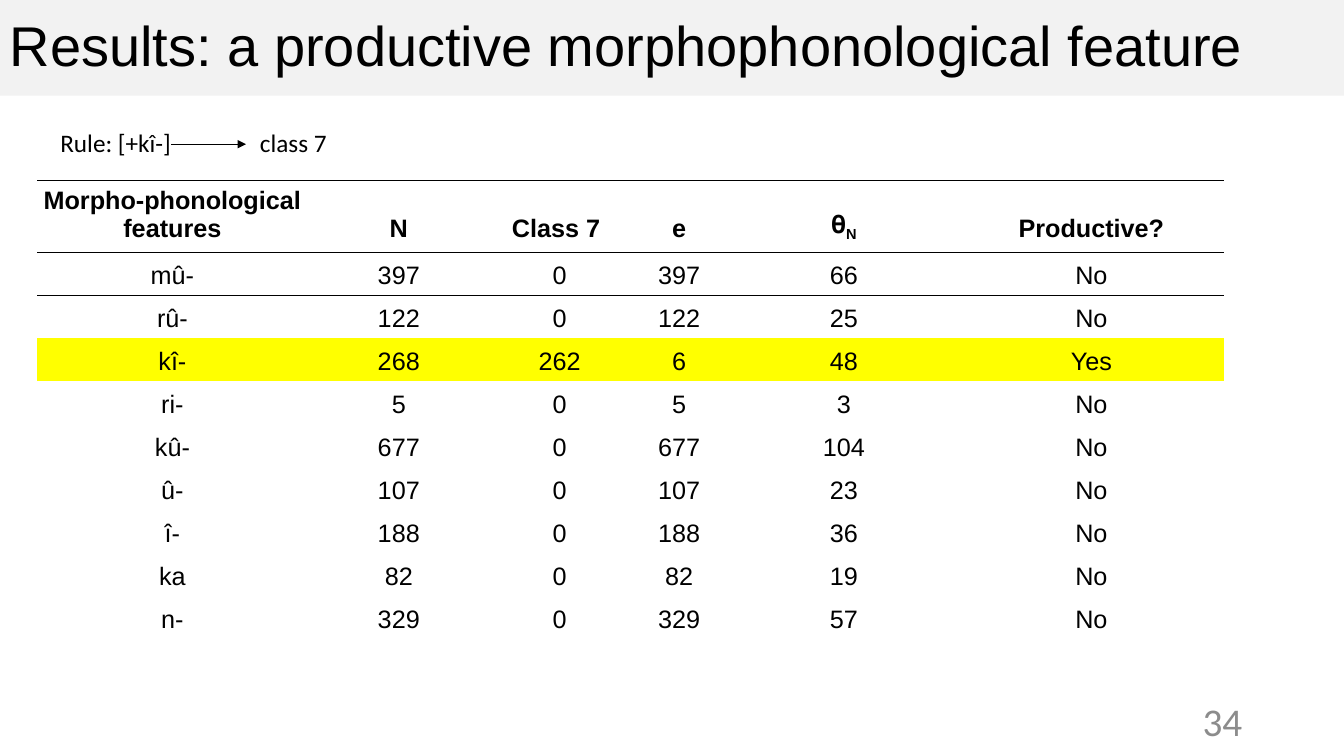
from dataclasses import dataclass

from lxml import etree
from pptx import Presentation
from pptx import util as u
from pptx.dml.color import RGBColor
from pptx.enum import shapes, text
from pptx.oxml import ns


@dataclass(frozen=True)
class Theme:
    ink: str = "000000"
    banner: str = "F2F2F2"
    highlight: str = "FFFF00"
    muted: str = "8C8C8C"
    sans: str = "Arial"
    body: str = "Calibri"
    title_size: int = 40
    number_size: int = 28
    text_size: int = 18
    rule_width: float = 0.5


THEME = Theme()
NO_GRID_STYLE = "{2D5ABB26-0587-4C30-8999-92F81FD0307C}"

COLUMN_WIDTHS = [2.68, 1.81, 1.38, 0.99, 2.28, 2.63]
HEADER_HEIGHT, ROW_HEIGHT = 0.66, 0.427
HEADER_INSETS = (0.02, 0.02, 0.02, 0.09)
BODY_INSETS = (0.01, 0.01, 0.01, 0.05)
HEADERS = ["Morpho-phonological features", "N", "Class 7 ", "e", "𝛉", "Productive?"]
THRESHOLD_COLUMN = 4
FEATURES = [
    ("mû-", 397, 0, 397, 66, "No"),
    ("rû-", 122, 0, 122, 25, "No"),
    ("kî-", 268, 262, 6, 48, "Yes"),
    ("ri-", 5, 0, 5, 3, "No"),
    ("kû-", 677, 0, 677, 104, "No"),
    ("û-", 107, 0, 107, 23, "No"),
    ("î-", 188, 0, 188, 36, "No"),
    ("ka", 82, 0, 82, 19, "No"),
    ("n-", 329, 0, 329, 57, "No"),
]


def inches(*lengths):
    return [u.Inches(length) for length in lengths]


def add_span(para, words, size, font, color=THEME.ink, bold=False):
    span = para.add_run()
    span.text = words
    span.font.size = u.Pt(size)
    span.font.name = font
    span.font.bold = bold
    span.font.color.rgb = RGBColor.from_string(color)
    return span


def add_xml(parent, tag, **attributes):
    return etree.SubElement(parent, ns.qn(tag), attributes)


def add_title_banner(page, box, title):
    banner = page.shapes.add_shape(shapes.MSO_SHAPE.RECTANGLE, *inches(*box))
    banner.shadow.inherit = False
    banner.fill.solid()
    banner.fill.fore_color.rgb = RGBColor.from_string(THEME.banner)
    banner.line.fill.background()
    frame = banner.text_frame
    frame.word_wrap = True
    frame.vertical_anchor = text.MSO_ANCHOR.MIDDLE
    para = frame.paragraphs[0]
    para.alignment = text.PP_ALIGN.LEFT
    para.line_spacing = 0.9
    add_span(para, title, THEME.title_size, THEME.sans)


def add_page_number(page, box, number):
    frame = page.shapes.add_textbox(*inches(*box)).text_frame
    frame.word_wrap = True
    frame.vertical_anchor = text.MSO_ANCHOR.MIDDLE
    para = frame.paragraphs[0]
    para.alignment = text.PP_ALIGN.RIGHT
    add_span(para, number, THEME.number_size, THEME.body, THEME.muted)


def add_rule(page, box, condition, outcome):
    """Write condition and outcome on one line, with an arrow in the gap."""
    left, top = box[:2]
    frame = page.shapes.add_textbox(*inches(*box)).text_frame
    frame.word_wrap = True
    frame.auto_size = text.MSO_AUTO_SIZE.SHAPE_TO_FIT_TEXT
    para = frame.paragraphs[0]
    tabs = add_xml(para._p.get_or_add_pPr(), "a:tabLst")
    add_xml(tabs, "a:tab", pos=str(u.Inches(1.98)), algn="l")
    add_span(para, f"{condition}\t{outcome}", THEME.text_size, THEME.body)

    arrow = page.shapes.add_connector(
        shapes.MSO_CONNECTOR.STRAIGHT,
        *inches(left + 1.2, top + 0.22, left + 1.94, top + 0.22))
    arrow.line.width = u.Pt(THEME.rule_width)
    arrow.line.color.rgb = RGBColor.from_string(THEME.ink)
    add_xml(arrow.line._get_or_add_ln(), "a:tailEnd", type="triangle")
    add_xml(arrow._element.spPr, "a:effectLst")


def add_border(cell, side):
    line = add_xml(cell._tc.get_or_add_tcPr(), f"a:ln{side}",
                   w=str(u.Pt(THEME.rule_width)))
    add_xml(add_xml(line, "a:solidFill"), "a:srgbClr", val=THEME.ink)


def fill_cell(cell, words, insets, borders="", bold=False, highlighted=False):
    cell.margin_left, cell.margin_top, cell.margin_right, cell.margin_bottom = inches(*insets)
    cell.vertical_anchor = text.MSO_ANCHOR.BOTTOM
    for side in borders:
        add_border(cell, side)
    if highlighted:
        cell.fill.solid()
        cell.fill.fore_color.rgb = RGBColor.from_string(THEME.highlight)
    else:
        cell.fill.background()
    para = cell.text_frame.paragraphs[0]
    para.alignment = text.PP_ALIGN.CENTER
    add_span(para, words, THEME.text_size, THEME.sans, bold=bold)
    return para


def add_feature_table(page, left, top):
    height = HEADER_HEIGHT + ROW_HEIGHT * len(FEATURES)
    table = page.shapes.add_table(
        len(FEATURES) + 1, len(HEADERS),
        *inches(left, top, sum(COLUMN_WIDTHS), height)).table
    table.first_row = table.horz_banding = False
    table._tbl.tblPr.find(ns.qn("a:tableStyleId")).text = NO_GRID_STYLE
    for column, width in zip(table.columns, COLUMN_WIDTHS):
        column.width = u.Inches(width)
    for index, row in enumerate(table.rows):
        row.height = u.Inches(ROW_HEIGHT if index else HEADER_HEIGHT)

    for column, words in enumerate(HEADERS):
        para = fill_cell(table.cell(0, column), words, HEADER_INSETS, "TB", bold=True)
        if column == THRESHOLD_COLUMN:
            subscript = add_span(para, "N", THEME.text_size, THEME.sans, bold=True)
            subscript._r.get_or_add_rPr().set("baseline", "-25000")
    for index, values in enumerate(FEATURES, start=1):
        for column, value in enumerate(values):
            fill_cell(table.cell(index, column), str(value), BODY_INSETS,
                      "T" if index == 1 else "", highlighted=values[-1] == "Yes")


def main():
    deck = Presentation()
    deck.slide_width, deck.slide_height = inches(13.33, 7.5)
    page = deck.slides.add_slide(deck.slide_layouts[6])
    add_page_number(page, (9.42, 6.95, 3, 0.4), "34")
    add_title_banner(page, (0, 0, 13.33, 0.95),
                     "Results: a productive morphophonological feature")
    add_feature_table(page, 0.37, 1.79)
    add_rule(page, (0.5, 1.21, 3.35, 0.4), "Rule: [+kî-]", "class 7")
    deck.save("out.pptx")


if __name__ == "__main__":
    main()
